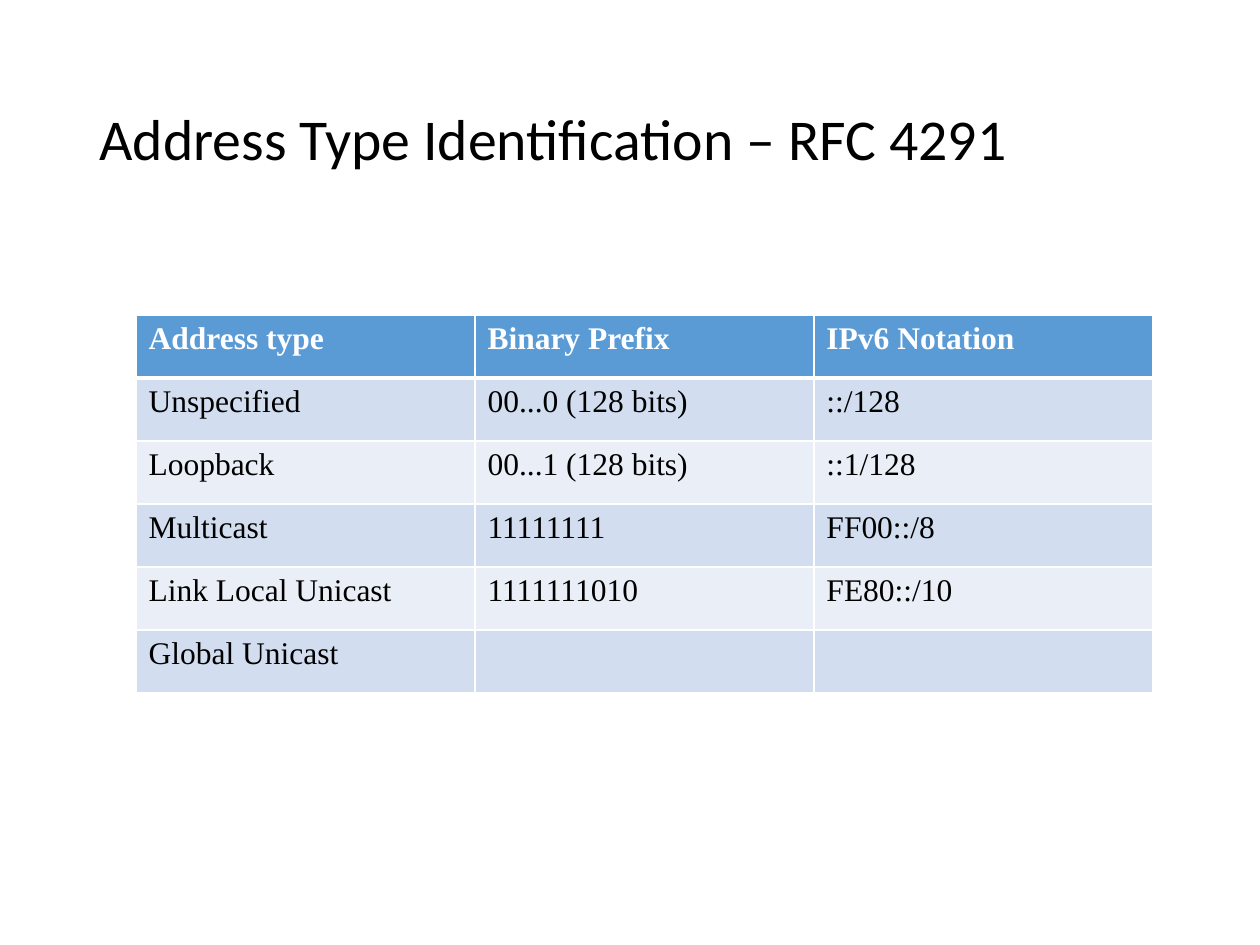
from lxml import etree
from pptx import Presentation
from pptx.dml.color import RGBColor
from pptx.enum.text import MSO_ANCHOR
from pptx.oxml.ns import qn
from pptx.util import Inches, Pt

MIDDLE = MSO_ANCHOR.MIDDLE
BLACK = RGBColor(0x00, 0x00, 0x00)
WHITE = RGBColor(0xFF, 0xFF, 0xFF)
HEADER_BLUE = RGBColor(0x5B, 0x9B, 0xD5)
BANDS = [RGBColor(0xEA, 0xEF, 0xF7), RGBColor(0xD2, 0xDE, 0xEF)]

TITLE = "Address Type Identification – RFC 4291"
ROWS = [
    ("Address type", "Binary Prefix", "IPv6 Notation"),
    ("Unspecified", "00...0 (128 bits)", "::/128"),
    ("Loopback", "00...1 (128 bits)", "::1/128"),
    ("Multicast", "11111111", "FF00::/8"),
    ("Link Local Unicast", "1111111010", "FE80::/10"),
    ("Global Unicast", "", ""),
]
TITLE_FORMAT = {"name": "Calibri", "size": Pt(33)}
CELL_FORMAT = {"name": "Times New Roman", "size": Pt(18)}
COLUMN_WIDTH = 2.69
ROW_HEIGHT = 0.5


def write(para, text, color, font_format):
    span = para.add_run()
    span.text = text
    span.font.color.rgb = color
    for name, value in font_format.items():
        setattr(span.font, name, value)


def add_borders(cell, widths):
    properties = cell._tc.get_or_add_tcPr()
    for side, width in widths.items():
        line = etree.SubElement(properties, qn(f"a:ln{side}"), w=str(Pt(width)))
        fill = etree.SubElement(line, qn("a:solidFill"))
        etree.SubElement(fill, qn("a:srgbClr"), val=str(WHITE))


def add_title(page):
    box = page.shapes.add_textbox(Inches(0.69), Inches(0.4), Inches(8.62), Inches(1.45))
    frame = box.text_frame
    frame.word_wrap = True
    frame.vertical_anchor = MIDDLE
    para = frame.paragraphs[0]
    para.line_spacing = 0.9
    write(para, TITLE, BLACK, TITLE_FORMAT)


def add_address_table(page):
    columns = len(ROWS[0])
    table = page.shapes.add_table(
        len(ROWS), columns, Inches(1.08), Inches(2.5),
        Inches(COLUMN_WIDTH * columns), Inches(ROW_HEIGHT * len(ROWS)),
    ).table
    for column in table.columns:
        column.width = Inches(COLUMN_WIDTH)
    for r, texts in enumerate(ROWS):
        table.rows[r].height = Inches(ROW_HEIGHT)
        header = r == 0
        widths = {"L": 1, "R": 1, "T": 3 if r == 1 else 1, "B": 3 if header else 1}
        for c, text in enumerate(texts):
            cell = table.cell(r, c)
            add_borders(cell, widths)
            cell.fill.solid()
            cell.fill.fore_color.rgb = HEADER_BLUE if header else BANDS[r % 2]
            if text:
                write(cell.text_frame.paragraphs[0], text,
                      WHITE if header else BLACK, {**CELL_FORMAT, "bold": header})


def main():
    deck = Presentation()
    deck.slide_width = Inches(10)
    deck.slide_height = Inches(7.5)
    page = deck.slides.add_slide(deck.slide_layouts[6])
    add_title(page)
    add_address_table(page)
    deck.save("out.pptx")


if __name__ == "__main__":
    main()
